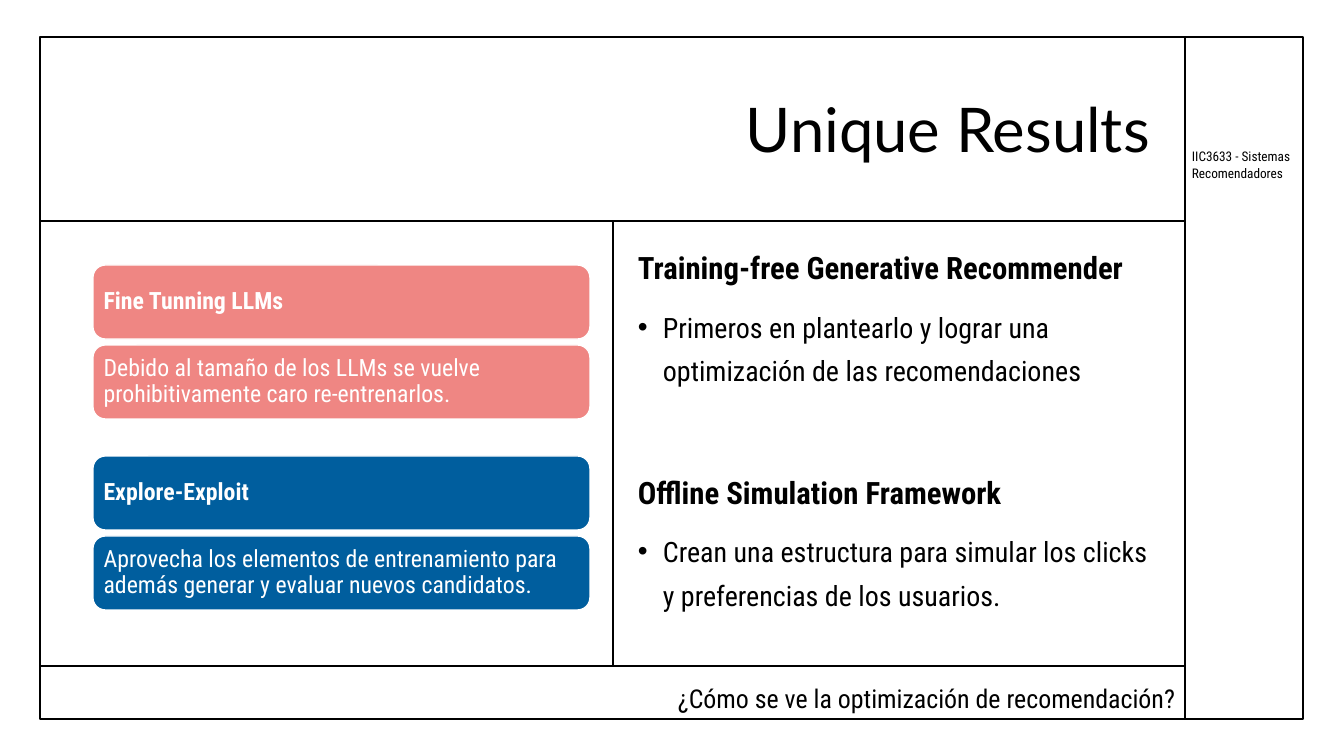
from dataclasses import dataclass

from lxml import etree
from pptx import Presentation
from pptx.dml.color import RGBColor
from pptx.enum.shapes import MSO_CONNECTOR, MSO_SHAPE
from pptx.enum.text import MSO_ANCHOR, PP_ALIGN
from pptx.oxml.ns import qn
from pptx.util import Pt

STRAIGHT = MSO_CONNECTOR.STRAIGHT
RECTANGLE = MSO_SHAPE.RECTANGLE
ROUNDED = MSO_SHAPE.ROUNDED_RECTANGLE
TOP, MIDDLE = MSO_ANCHOR.TOP, MSO_ANCHOR.MIDDLE
LEFT, RIGHT = PP_ALIGN.LEFT, PP_ALIGN.RIGHT
EMU_PER_PX = 914400 / 100.8


def px(length):
    return round(length * EMU_PER_PX)


@dataclass(frozen=True)
class Theme:
    ink: RGBColor = RGBColor(0x00, 0x00, 0x00)
    paper: RGBColor = RGBColor(0xFF, 0xFF, 0xFF)
    coral: RGBColor = RGBColor(0xEF, 0x86, 0x83)
    blue: RGBColor = RGBColor(0x00, 0x5E, 0x9E)
    title_font: str = "Lato"
    body_font: str = "Roboto Condensed"
    title: float = 44
    heading: float = 22
    point: float = 20
    question: float = 18.5
    card: float = 17
    course: float = 9.5
    rule: float = 1


class SlideBuilder:
    def __init__(self, slide, theme):
        self.slide = slide
        self.theme = theme

    def frame(self, left, top, width, height):
        border = self.slide.shapes.add_shape(
            RECTANGLE, px(left), px(top), px(width), px(height))
        border.shadow.inherit = False
        border.fill.background()
        border.line.color.rgb = self.theme.ink
        border.line.width = Pt(self.theme.rule)

    def rule(self, x1, y1, x2, y2):
        divider = self.slide.shapes.add_connector(
            STRAIGHT, px(x1), px(y1), px(x2), px(y2))
        divider.line.color.rgb = self.theme.ink
        divider.line.width = Pt(self.theme.rule)
        etree.SubElement(divider._element.spPr, qn("a:effectLst"))

    def set_text(self, paragraph, text, size, color, font=None, bold=False,
                 align=LEFT, spacing=1.3, before=10):
        paragraph.text = text
        paragraph.alignment = align
        paragraph.line_spacing = spacing
        paragraph.space_before = Pt(before)
        for run in paragraph.runs:
            run.font.name = font or self.theme.body_font
            run.font.size = Pt(size)
            run.font.bold = bold
            run.font.color.rgb = color

    def bullet(self, paragraph, indent):
        properties = paragraph._p.get_or_add_pPr()
        properties.set("marL", str(px(indent)))
        properties.set("indent", str(-px(indent)))
        etree.SubElement(properties, qn("a:buFont"), typeface="Arial")
        etree.SubElement(properties, qn("a:buChar"), char="•")

    def text_area(self, left, top, width, height, anchor=TOP):
        area = self.slide.shapes.add_textbox(
            px(left), px(top), px(width), px(height)).text_frame
        area.word_wrap = True
        area.vertical_anchor = anchor
        return area

    def label(self, box, text, size, anchor=TOP, **style):
        area = self.text_area(*box, anchor)
        self.set_text(area.paragraphs[0], text, size, self.theme.ink, **style)

    def card(self, left, top, width, height, text, fill, bold):
        panel = self.slide.shapes.add_shape(
            ROUNDED, px(left), px(top), px(width), px(height))
        panel.shadow.inherit = False
        panel.fill.solid()
        panel.fill.fore_color.rgb = fill
        panel.line.color.rgb = self.theme.paper
        panel.line.width = Pt(self.theme.rule)
        area = panel.text_frame
        area.word_wrap = True
        area.vertical_anchor = MIDDLE
        area.margin_left = area.margin_right = px(7)
        area.margin_top = area.margin_bottom = px(7)
        self.set_text(area.paragraphs[0], text, self.theme.card,
                      self.theme.paper, bold=bold, spacing=0.9, before=0)

    def findings(self, box, sections, section_gap):
        area = self.text_area(*box)
        for index, (heading, point) in enumerate(sections):
            first = area.add_paragraph() if index else area.paragraphs[0]
            self.set_text(first, heading, self.theme.heading, self.theme.ink,
                          bold=True, before=section_gap if index else 10)
            detail = area.add_paragraph()
            self.set_text(detail, point, self.theme.point, self.theme.ink)
            self.bullet(detail, 25)


def main():
    theme = Theme()
    deck = Presentation()
    deck.slide_width, deck.slide_height = px(1344), px(756)
    builder = SlideBuilder(deck.slides.add_slide(deck.slide_layouts[6]), theme)

    builder.frame(40, 37, 1263, 682)
    for divider in ((1185, 37, 1185, 719), (41, 666, 1185, 666),
                    (41, 221, 1185, 221), (613, 221, 613, 666)):
        builder.rule(*divider)

    builder.label((93, 60, 1067, 146), "Unique Results", theme.title, MIDDLE,
                  font=theme.title_font, align=RIGHT, spacing=0.9, before=0)

    approaches = (
        ("Fine Tunning LLMs",
         "Debido al tamaño de los LLMs se vuelve prohibitivamente caro "
         "re-entrenarlos.", theme.coral),
        ("Explore-Exploit",
         "Aprovecha los elementos de entrenamiento para además generar y "
         "evaluar nuevos candidatos.", theme.blue),
    )
    for row, (name, summary, fill) in enumerate(approaches):
        top = 265 + row * 191
        builder.card(93, top, 497, 74, name, fill, True)
        builder.card(93, top + 80, 497, 74, summary, fill, False)

    builder.findings((628, 233, 532, 410), (
        ("Training-free Generative Recommender",
         "Primeros en plantearlo y lograr una optimización de las "
         "recomendaciones"),
        ("Offline Simulation Framework",
         "Crean una estructura para simular los clicks y preferencias de "
         "los usuarios."),
    ), section_gap=53.5)

    builder.label((643, 668, 542, 50),
                  "¿Cómo se ve la optimización de recomendación?",
                  theme.question, align=RIGHT)
    builder.label((1182, 125, 121, 78), "IIC3633 - Sistemas Recomendadores",
                  theme.course, MIDDLE, spacing=1.1)

    deck.save("out.pptx")


if __name__ == "__main__":
    main()
